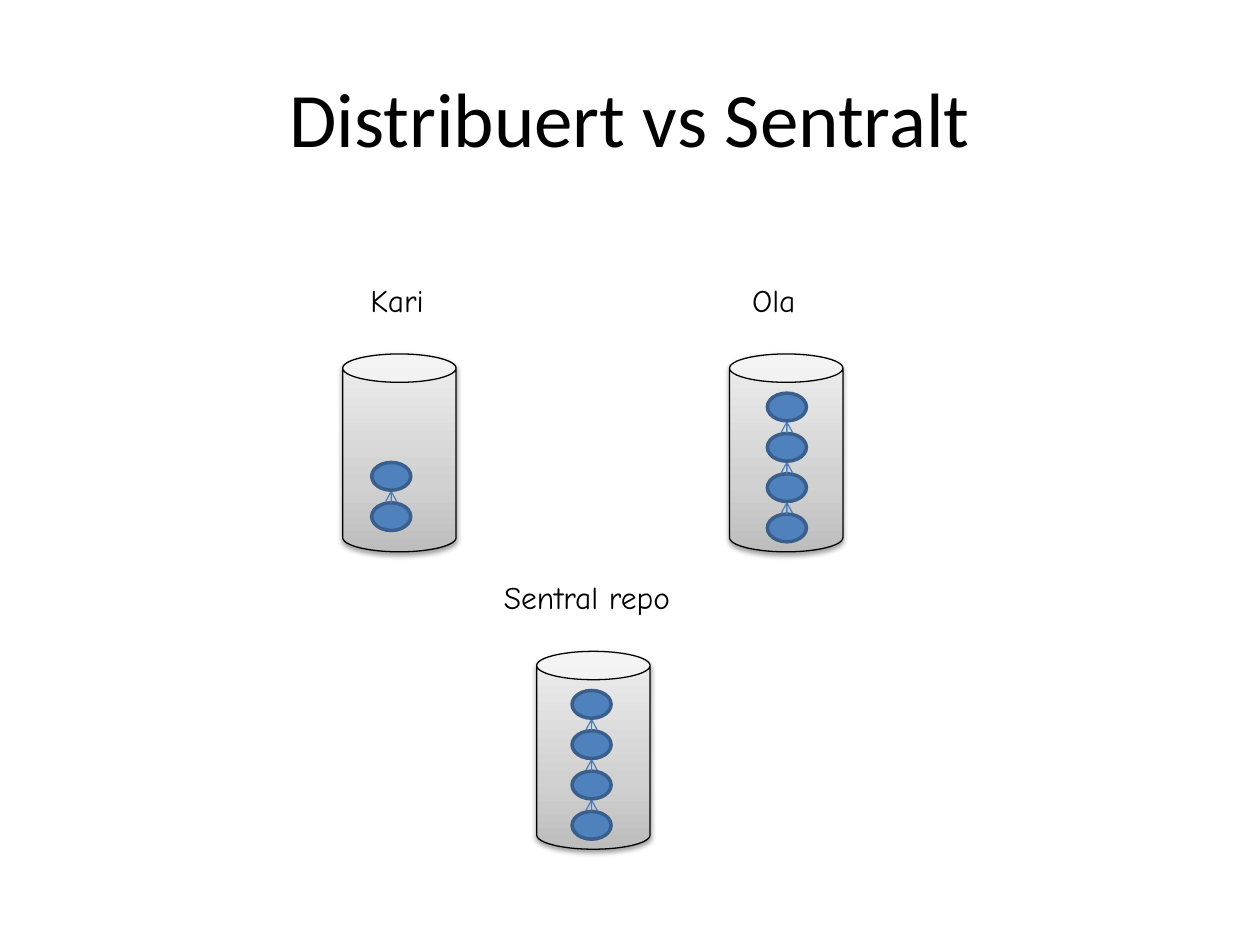
from dataclasses import dataclass

from lxml.etree import SubElement
from pptx import Presentation
from pptx.dml.color import RGBColor
from pptx.enum.shapes import MSO_CONNECTOR, MSO_SHAPE
from pptx.enum.text import MSO_ANCHOR, MSO_AUTO_SIZE, PP_ALIGN
from pptx.oxml.ns import qn
from pptx.shapes.autoshape import Shape
from pptx.shapes.group import GroupShape
from pptx.slide import Slide
from pptx.util import Inches, Pt

COLORS = {
    "text": "000000",
    "can_line": "000000",
    "can_bottom": "BDBDBD",
    "can_middle": "D1D1D1",
    "can_top": "EEEEEE",
    "commit": "4F81BD",
    "commit_line": "3A5F8C",
    "arrow": "4B7EBC",
}
CAN_W, CAN_H = 0.9, 1.57
COMMIT_W, COMMIT_H, COMMIT_STEP = 0.31, 0.22, 0.32


@dataclass
class Repo:
    name: str
    can_left: float
    can_top: float
    label_left: float
    label_top: float
    label_width: float
    commits: int
    commit_left: float
    first_commit_top: float  # the oldest commit, lowest in the can


REPOS = [
    Repo("Kari", 2.72, 2.81, 2.84, 2.18, 0.71, 2, 2.95, 3.99),
    Repo("Ola", 5.79, 2.81, 5.87, 2.18, 0.71, 4, 6.09, 4.08),
    Repo("Sentral repo", 4.26, 5.17, 3.9, 4.54, 1.97, 4, 4.54, 6.44),
]


def rgb(name: str) -> RGBColor:
    return RGBColor.from_string(COLORS[name])


def add_text(slide: Slide, text: str, left: float, top: float, width: float,
             height: float, *, font: str, size: int, align=PP_ALIGN.LEFT,
             anchor=MSO_ANCHOR.TOP, auto_size=MSO_AUTO_SIZE.NONE) -> None:
    box = slide.shapes.add_textbox(Inches(left), Inches(top), Inches(width), Inches(height))
    tf = box.text_frame
    tf.word_wrap = True
    tf.auto_size = auto_size
    tf.vertical_anchor = anchor
    p = tf.paragraphs[0]
    p.alignment = align
    r = p.add_run()
    r.text = text
    r.font.name = font
    r.font.size = Pt(size)
    r.font.color.rgb = rgb("text")


def set_can_gradient(sp: Shape) -> None:
    """Shade from dark at the bottom to light at the top, in three stops."""
    sp.fill.gradient()
    sp.fill.gradient_angle = 90
    stops = sp._element.spPr.find(".//" + qn("a:gsLst"))
    for stop in list(stops):
        stops.remove(stop)
    for percent, name in ((0, "can_bottom"), (35, "can_middle"), (100, "can_top")):
        stop = SubElement(stops, qn("a:gs"), pos=str(percent * 1000))
        SubElement(stop, qn("a:srgbClr"), val=COLORS[name])


def set_soft_shadow(sp: Shape) -> None:
    sp.shadow.inherit = False
    effects = sp._element.spPr.find(qn("a:effectLst"))
    shadow = SubElement(effects, qn("a:outerShdw"), blurRad=str(Pt(3.1)),
                        dist=str(Pt(1.6)), dir="5400000", rotWithShape="0")
    color = SubElement(shadow, qn("a:srgbClr"), val="000000")
    SubElement(color, qn("a:alpha"), val="38000")


def add_can(slide: Slide, repo: Repo) -> None:
    sp = slide.shapes.add_shape(MSO_SHAPE.CAN, Inches(repo.can_left), Inches(repo.can_top),
                                Inches(CAN_W), Inches(CAN_H))
    set_can_gradient(sp)
    sp.line.color.rgb = rgb("can_line")
    sp.line.width = Pt(0.75)
    set_soft_shadow(sp)


def add_commit(group: GroupShape, left: float, top: float) -> None:
    sp = group.shapes.add_shape(MSO_SHAPE.OVAL, Inches(left), Inches(top),
                                Inches(COMMIT_W), Inches(COMMIT_H))
    sp.shadow.inherit = False
    sp.fill.solid()
    sp.fill.fore_color.rgb = rgb("commit")
    sp.line.color.rgb = rgb("commit_line")
    sp.line.width = Pt(2)


def add_up_arrow(group: GroupShape, x: float, start: float, end: float) -> None:
    line = group.shapes.add_connector(MSO_CONNECTOR.STRAIGHT, Inches(x), Inches(start),
                                      Inches(x), Inches(end))
    line.line.color.rgb = rgb("arrow")
    line.line.width = Pt(0.75)
    SubElement(line.line._get_or_add_ln(), qn("a:tailEnd"), type="arrow")
    SubElement(line._element.spPr, qn("a:effectLst"))


def add_history(slide: Slide, repo: Repo) -> None:
    """Stack the commits upwards, with an arrow from each to the next."""
    group = slide.shapes.add_group_shape()
    for i in range(repo.commits):
        top = repo.first_commit_top - i * COMMIT_STEP
        add_commit(group, repo.commit_left, top)
        if i < repo.commits - 1:
            add_up_arrow(group, repo.commit_left + COMMIT_W / 2, top,
                         top - COMMIT_STEP + COMMIT_H)


def main() -> None:
    prs = Presentation()
    prs.slide_width, prs.slide_height = Inches(10), Inches(7.5)
    slide = prs.slides.add_slide(prs.slide_layouts[6])
    add_text(slide, "Distribuert vs Sentralt", 0.5, 0.3, 9, 1.25, font="Calibri", size=44,
             align=PP_ALIGN.CENTER, anchor=MSO_ANCHOR.MIDDLE)
    for repo in REPOS:
        add_can(slide, repo)
        add_history(slide, repo)
        add_text(slide, repo.name, repo.label_left, repo.label_top, repo.label_width, 0.4,
                 font="Comic Neue", size=18, auto_size=MSO_AUTO_SIZE.SHAPE_TO_FIT_TEXT)
    prs.save("out.pptx")


if __name__ == "__main__":
    main()
